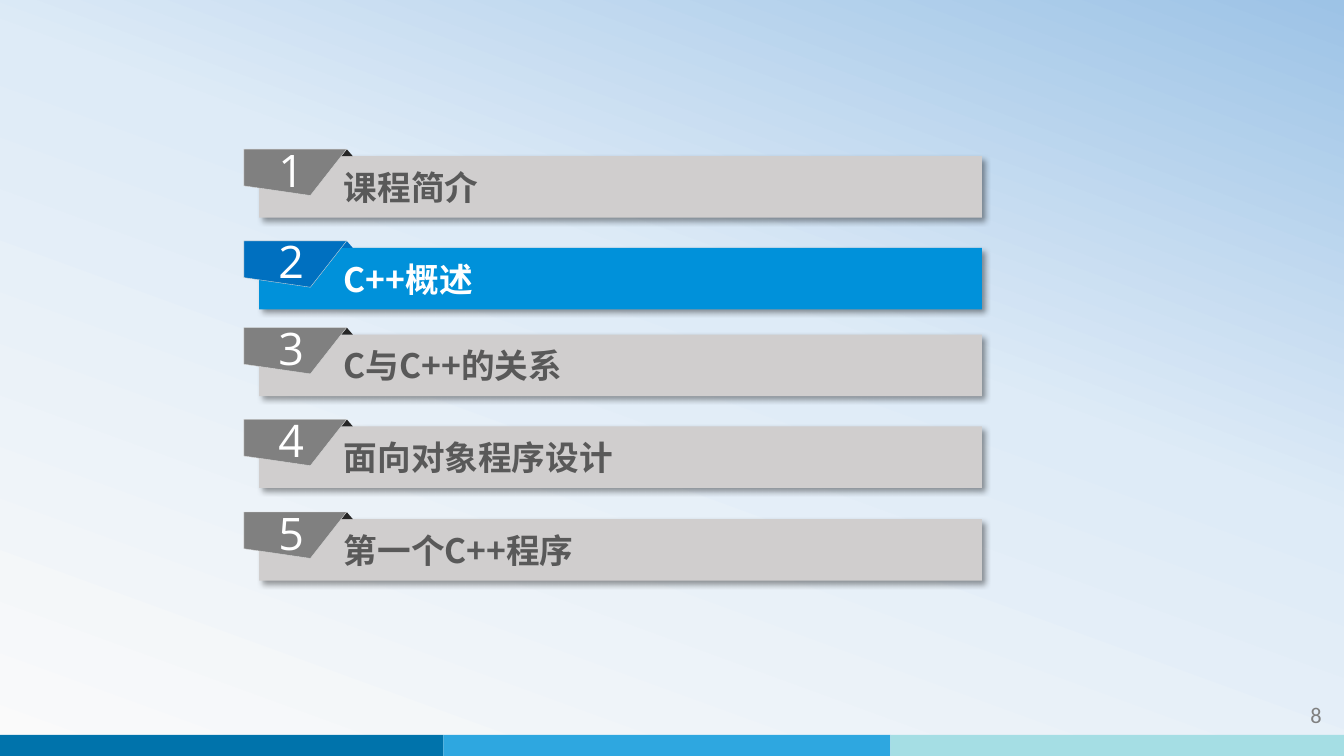
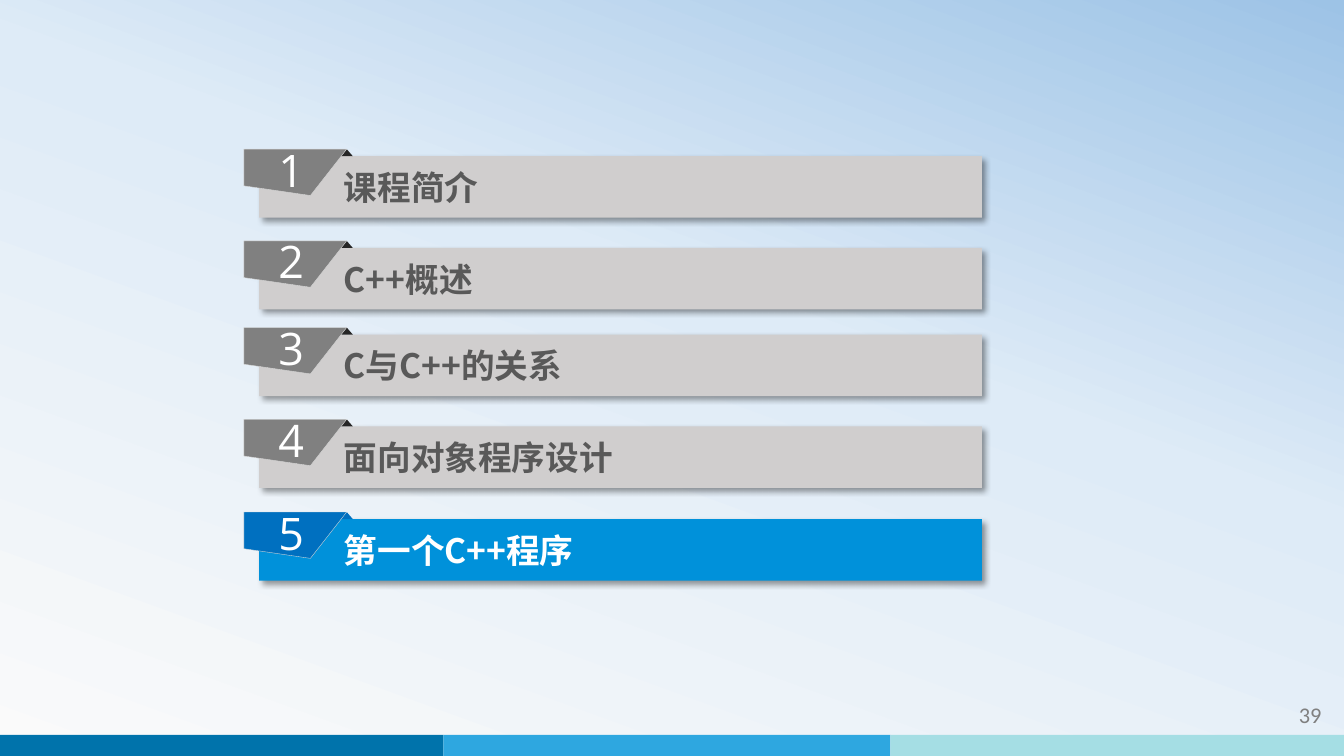
"""Build two agenda slides that highlight the current chapter."""
import copy
import itertools

import pptx
import pptx.dml.color
import pptx.enum.shapes
import pptx.enum.text
import pptx.oxml.ns
import pptx.oxml.xmlchemy
import pptx.util
from lxml import etree

WIDTH, HEIGHT = pptx.util.Inches(13.33), pptx.util.Inches(7.5)
COLUMN, ROW = WIDTH / 100, HEIGHT / 100

COLORS = {
    "sky_low": "FAFAFA", "sky_mid": "DEEBF7", "sky_high": "9DC3E6",
    "band_dark": "0073AB", "band_mid": "2EA7E0", "band_light": "A5DEE4",
    "page": "808080", "edge": "D9D9D9", "shadow": "000000", "white": "FFFFFF",
    "bar": "D0CECE", "tag": "808080", "fold": "262626", "chapter": "595959",
    "bar_now": "0091DA", "tag_now": "0070C0",
}
IDLE = {"bar": "bar", "tag": "tag", "fold": "fold", "chapter": "chapter"}
CURRENT = {"bar": "bar_now", "tag": "tag_now", "fold": "tag_now", "chapter": "white"}

CHAPTERS = ["课程简介", "C++概述", "C与C++的关系", "面向对象程序设计", "第一个C++程序"]
CHAPTER_ROWS = [19.73, 31.87, 43.33, 55.47, 67.73]
TAG_LEFT = 18.15
TAG_OUTLINE = [(7.65, 0), (4.95, 6.13), (0, 4.85)]
AGENDA_SLIDES = [(8, 2), (39, 5)]

SHAPES = pptx.enum.shapes.MSO_SHAPE
ALIGN = pptx.enum.text.PP_ALIGN
qn = pptx.oxml.ns.qn


def rgb(name):
    return pptx.dml.color.RGBColor.from_string(COLORS[name])


def grid(left, top, width, height):
    return [round(n) for n in (left * COLUMN, top * ROW, width * COLUMN, height * ROW)]


def paint(shape, color):
    shape.shadow.inherit = False
    shape.fill.solid()
    shape.fill.fore_color.rgb = rgb(color)
    shape.line.fill.background()


def add_block(shapes, preset, place, color):
    block = shapes.add_shape(preset, *grid(*place))
    paint(block, color)
    return block


def write(frame, text, font, size, color, align=ALIGN.LEFT, bold=False):
    frame.word_wrap = True
    paragraph = frame.paragraphs[0]
    paragraph.alignment = align
    run = paragraph.add_run()
    run.text = text
    run.font.name = font
    run.font.size = pptx.util.Pt(size)
    run.font.bold = bold
    run.font.color.rgb = rgb(color)
    east_asian = etree.SubElement(run._r.get_or_add_rPr(), qn("a:ea"))
    east_asian.set("typeface", font)


def cast_shadow(shape):
    effects = shape.element.spPr.find(qn("a:effectLst"))
    outer = etree.SubElement(
        effects, qn("a:outerShdw"), blurRad=str(pptx.util.Pt(4)),
        dist=str(pptx.util.Pt(3)), dir=str(45 * 60000), algn="tl", rotWithShape="0")
    color = etree.SubElement(outer, qn("a:srgbClr"), val=COLORS["shadow"])
    etree.SubElement(color, qn("a:alpha"), val="40000")


def set_sky(master):
    sky = master.background.fill
    sky.gradient()
    sky.gradient_angle = 70
    stops = master.element.find(".//" + qn("a:gsLst"))
    stops.insert(1, copy.deepcopy(stops[0]))
    shades = [(0, "sky_low"), (0.58, "sky_mid"), (1, "sky_high")]
    for stop, (position, color) in zip(sky.gradient_stops, shades):
        stop.position = position
        stop.color.rgb = rgb(color)


def set_bands(layout, slide):
    for placeholder in list(layout.placeholders):
        layout.shapes.element.remove(placeholder.element)
    edges = itertools.pairwise([0, 33, 66.25, 100])
    for (left, right), color in zip(edges, ["band_dark", "band_mid", "band_light"]):
        band = add_block(slide.shapes, SHAPES.RECTANGLE,
                         (left, 97.2, right - left, 2.8), color)
        layout.shapes.element.append(band.element)


def add_page_number(slide, number):
    page = slide.shapes.add_textbox(*grid(87.15, 92.13, 11.92, 5.33))
    write(page.text_frame, str(number), "Calibri", 16, "page", ALIGN.RIGHT)


def add_tag(shapes, top, number, color):
    left, top, _, _ = grid(TAG_LEFT, top, 0, 0)
    outline = shapes.build_freeform(left, top)
    outline.add_line_segments(
        [(round(left + x * COLUMN), round(top + y * ROW)) for x, y in TAG_OUTLINE])
    tag = outline.convert_to_shape()
    paint(tag, color)
    tag.line.color.rgb = rgb("edge")
    tag.line.width = pptx.util.Pt(0.25)
    frame = tag.text_frame
    frame.vertical_anchor = pptx.enum.text.MSO_ANCHOR.MIDDLE
    frame.margin_left, frame.margin_right = round(0.68 * COLUMN), round(1.28 * COLUMN)
    frame.margin_top, frame.margin_bottom = round(0.53 * ROW), round(1.33 * ROW)
    write(frame, str(number), "Open Sans", 32, "white", ALIGN.CENTER)


def add_chapter(slide, top, number, chapter, look):
    shapes = slide.shapes.add_group_shape().shapes
    bar = add_block(shapes, SHAPES.RECTANGLE, (19.28, top + 0.93, 53.78, 8.13), look["bar"])
    cast_shadow(bar)
    bar.text_frame.margin_left = round(6.3 * COLUMN)
    bar.text_frame.vertical_anchor = pptx.enum.text.MSO_ANCHOR.MIDDLE
    write(bar.text_frame, chapter, "Noto Sans CJK SC", 24, look["chapter"], bold=True)
    add_block(shapes, SHAPES.ISOSCELES_TRIANGLE, (25.35, top, 0.9, 0.93), look["fold"])
    add_tag(shapes, top, number, look["tag"])


def add_agenda(slide, page, current):
    add_page_number(slide, page)
    for number, (top, chapter) in enumerate(zip(CHAPTER_ROWS, CHAPTERS), 1):
        look = CURRENT if number == current else IDLE
        add_chapter(slide, top, number, chapter, look)


def main():
    deck = pptx.Presentation()
    deck.slide_width, deck.slide_height = WIDTH, HEIGHT
    layout = deck.slide_layouts[6]
    set_sky(deck.slide_master)
    slides = [deck.slides.add_slide(layout) for _ in AGENDA_SLIDES]
    set_bands(layout, slides[0])
    for slide, (page, current) in zip(slides, AGENDA_SLIDES):
        add_agenda(slide, page, current)
    deck.save("out.pptx")


if __name__ == "__main__":
    main()
